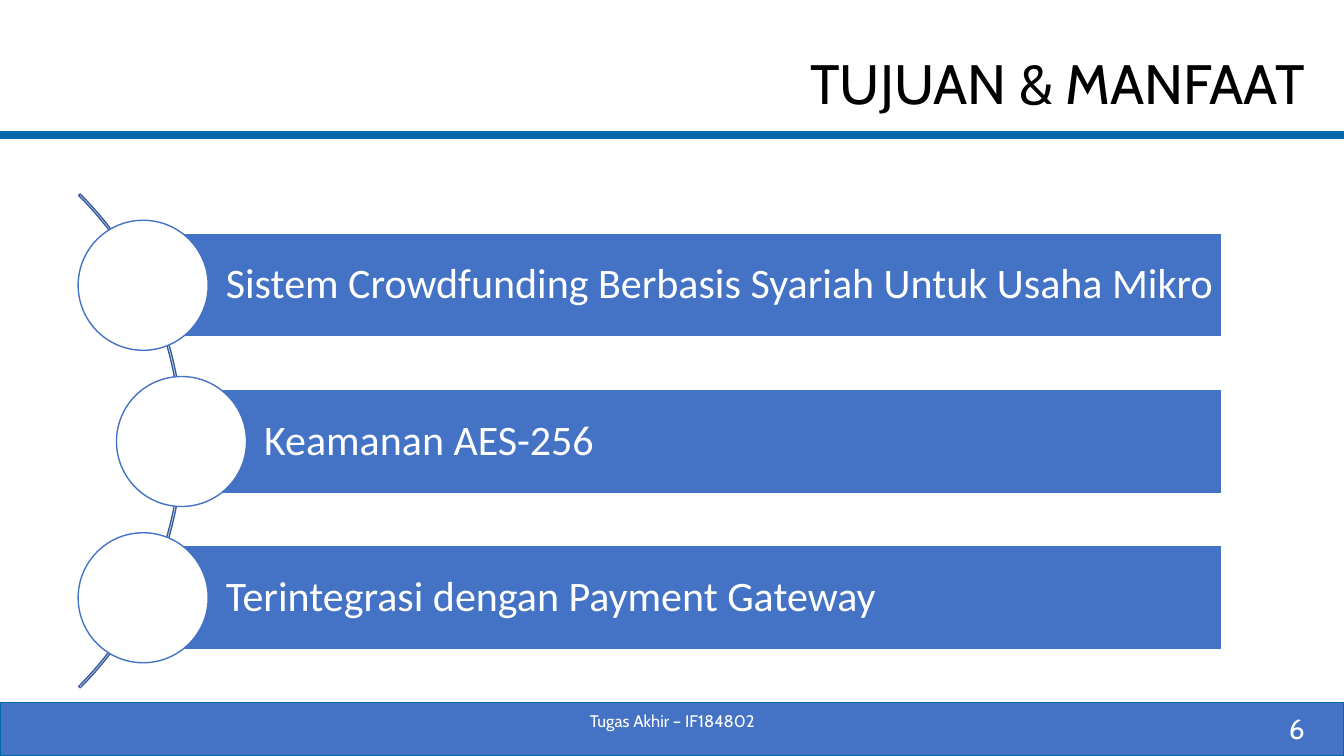
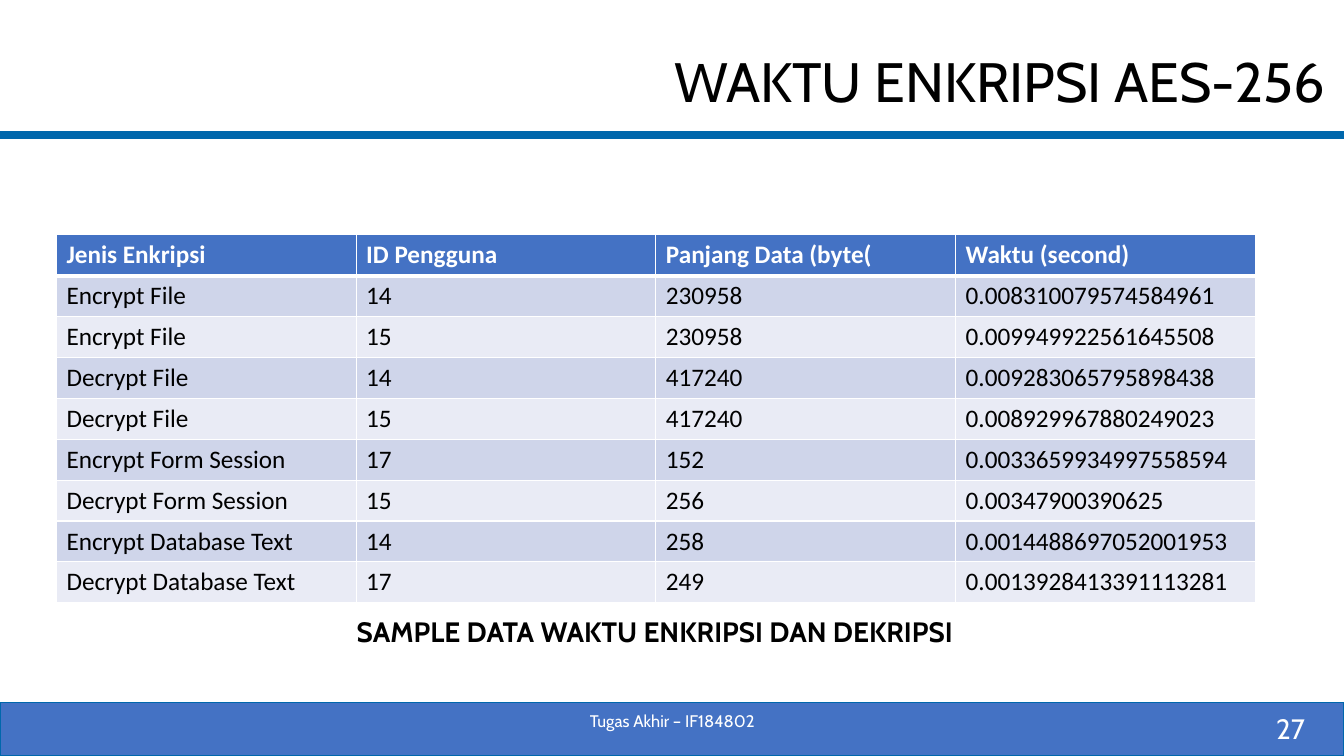
from lxml.etree import SubElement
from pptx import Presentation
from pptx.dml.color import RGBColor
from pptx.enum.shapes import MSO_CONNECTOR, MSO_SHAPE
from pptx.enum.text import MSO_ANCHOR, MSO_AUTO_SIZE, PP_ALIGN
from pptx.oxml.ns import qn
from pptx.util import Inches, Pt

SLIDE_WIDTH, SLIDE_HEIGHT = 13.33, 7.5
BLUE, RULE_BLUE, ARC_BLUE = "4472C4", "0067AC", "365B9D"
WHITE, BLACK = "FFFFFF", "000000"
ROW_FILLS = ("CFD5EA", "E9EBF5")
HEADING_FONT, BODY_FONT = "Cabin", "Calibri"
FOOTER = "Tugas Akhir – IF184802"

GOALS = (
    "Sistem Crowdfunding Berbasis Syariah Untuk Usaha Mikro",
    "Keamanan AES-256",
    "Terintegrasi dengan Payment Gateway",
)

TIMINGS = (
    ("Jenis Enkripsi", "ID Pengguna", "Panjang Data (byte(", "Waktu (second)"),
    ("Encrypt File", "14", "230958", "0.008310079574584961"),
    ("Encrypt File", "15", "230958", "0.009949922561645508"),
    ("Decrypt File", "14", "417240", "0.009283065795898438"),
    ("Decrypt File", "15", "417240", "0.008929967880249023"),
    ("Encrypt Form Session", "17", "152", "0.0033659934997558594"),
    ("Decrypt Form Session", "15", "256", "0.00347900390625"),
    ("Encrypt Database Text", "14", "258", "0.0014488697052001953"),
    ("Decrypt Database Text", "17", "249", "0.0013928413391113281"),
)


def color(value):
    return RGBColor.from_string(value)


class Deck:
    """Holds the shared style and the slide being built."""

    def __init__(self):
        self.presentation = Presentation()
        self.presentation.slide_width = Inches(SLIDE_WIDTH)
        self.presentation.slide_height = Inches(SLIDE_HEIGHT)
        self.page = None

    def set_text(self, frame, text, size, font=HEADING_FONT, ink=BLACK, bold=False,
                 align=PP_ALIGN.LEFT, spacing=None):
        frame.text = text
        for para in frame.paragraphs:
            para.alignment = align
            para.line_spacing = spacing
            for span in para.runs:
                span.font.name = font
                span.font.size = Pt(size)
                span.font.bold = bold
                span.font.color.rgb = color(ink)

    def new_page(self, title, number, left, top):
        layout = self.presentation.slide_layouts[5]
        self.page = self.presentation.slides.add_slide(layout)

        # Rule below the title
        rule = self.page.shapes.add_connector(
            MSO_CONNECTOR.STRAIGHT, 0, Inches(1.34), Inches(SLIDE_WIDTH), Inches(1.34))
        rule.line.color.rgb = color(RULE_BLUE)
        rule.line.width = Pt(6)
        SubElement(rule._element.spPr, qn("a:effectLst"))

        # Title
        box = self.page.shapes.title
        box.left, box.top = Inches(left), Inches(top)
        box.width, box.height = Inches(11.5), Inches(0.84)
        frame = box.text_frame
        frame.auto_size = MSO_AUTO_SIZE.NONE
        frame.vertical_anchor = MSO_ANCHOR.MIDDLE
        self.set_text(frame, title, 39.6, align=PP_ALIGN.RIGHT, spacing=1.5)

        # Footer band
        self.shape(MSO_SHAPE.RECTANGLE, 0, 6.97, SLIDE_WIDTH, 0.53, BLUE, RULE_BLUE)
        self.text(str(number), 10.04, 7.03, 3, 0.4, 20, ink=WHITE, align=PP_ALIGN.RIGHT)
        self.text(FOOTER, 4.42, 6.95, 4.5, 0.4, 12, ink=WHITE, align=PP_ALIGN.CENTER)

    def shape(self, kind, left, top, width, height, fill, line):
        shape = self.page.shapes.add_shape(
            kind, Inches(left), Inches(top), Inches(width), Inches(height))
        shape.shadow.inherit = False
        shape.fill.solid()
        shape.fill.fore_color.rgb = color(fill)
        shape.line.color.rgb = color(line)
        shape.line.width = Pt(1)
        return shape

    def text(self, text, left, top, width, height, size, **style):
        box = self.page.shapes.add_textbox(
            Inches(left), Inches(top), Inches(width), Inches(height))
        box.text_frame.word_wrap = True
        box.text_frame.vertical_anchor = MSO_ANCHOR.MIDDLE
        self.set_text(box.text_frame, text, size, **style)

    def arc(self, left, top, size):
        arc = self.shape(MSO_SHAPE.BLOCK_ARC, left, top, size, size, WHITE, ARC_BLUE)
        # Start angle, end angle and thickness, each in units of 100000
        for index, value in enumerate((189, 27, 0.003)):
            arc.adjustments[index] = value

    def goal(self, text, center_x, center_y):
        right, height, diameter = 12.12, 1.03, 1.29
        bar = self.shape(MSO_SHAPE.RECTANGLE, center_x, center_y - height / 2,
                         right - center_x, height, BLUE, WHITE)
        frame = bar.text_frame
        frame.margin_left = Inches(0.82)
        frame.margin_right = Inches(0.08)
        frame.vertical_anchor = MSO_ANCHOR.MIDDLE
        self.set_text(frame, text, 30, BODY_FONT, WHITE, spacing=0.9)
        self.shape(MSO_SHAPE.OVAL, center_x - diameter / 2, center_y - diameter / 2,
                   diameter, diameter, WHITE, BLUE)

    def borders(self, cell, top, bottom):
        properties = cell._tc.get_or_add_tcPr()
        for side, width in (("L", 1), ("R", 1), ("T", top), ("B", bottom)):
            line = SubElement(properties, qn(f"a:ln{side}"), w=str(Pt(width)))
            fill = SubElement(line, qn("a:solidFill"))
            SubElement(fill, qn("a:srgbClr"), val=WHITE)

    def table(self, rows, left, top, width, height):
        table = self.page.shapes.add_table(
            len(rows), len(rows[0]), Inches(left), Inches(top),
            Inches(width), Inches(height)).table
        for row, values in enumerate(rows):
            header = row == 0
            fill = BLUE if header else ROW_FILLS[(row - 1) % 2]
            for column, value in enumerate(values):
                cell = table.cell(row, column)
                self.borders(cell, 3 if row == 1 else 1, 3 if header else 1)
                cell.fill.solid()
                cell.fill.fore_color.rgb = color(fill)
                self.set_text(cell.text_frame, value, 18, BODY_FONT,
                              WHITE if header else BLACK, bold=header)


def main():
    deck = Deck()

    # Goals along an arc
    deck.new_page("TUJUAN & MANFAAT", 6, 1.54, 0.23)
    deck.arc(-5.12, 0.91, 6.93)
    for index, goal in enumerate(GOALS):
        center_x = 1.8 if index == 1 else 1.42
        deck.goal(goal, center_x, 2.83 + index * 1.55)

    # Encryption timings
    deck.new_page("WAKTU ENKRIPSI AES-256", 27, 1.74, 0.21)
    deck.table(TIMINGS, 0.56, 2.33, 11.89, 3.65)
    deck.text("SAMPLE DATA WAKTU ENKRIPSI DAN DEKRIPSI", 3.43, 6.04, 6.13, 0.44, 20,
              bold=True, align=PP_ALIGN.CENTER)

    deck.presentation.save("out.pptx")


if __name__ == "__main__":
    main()
